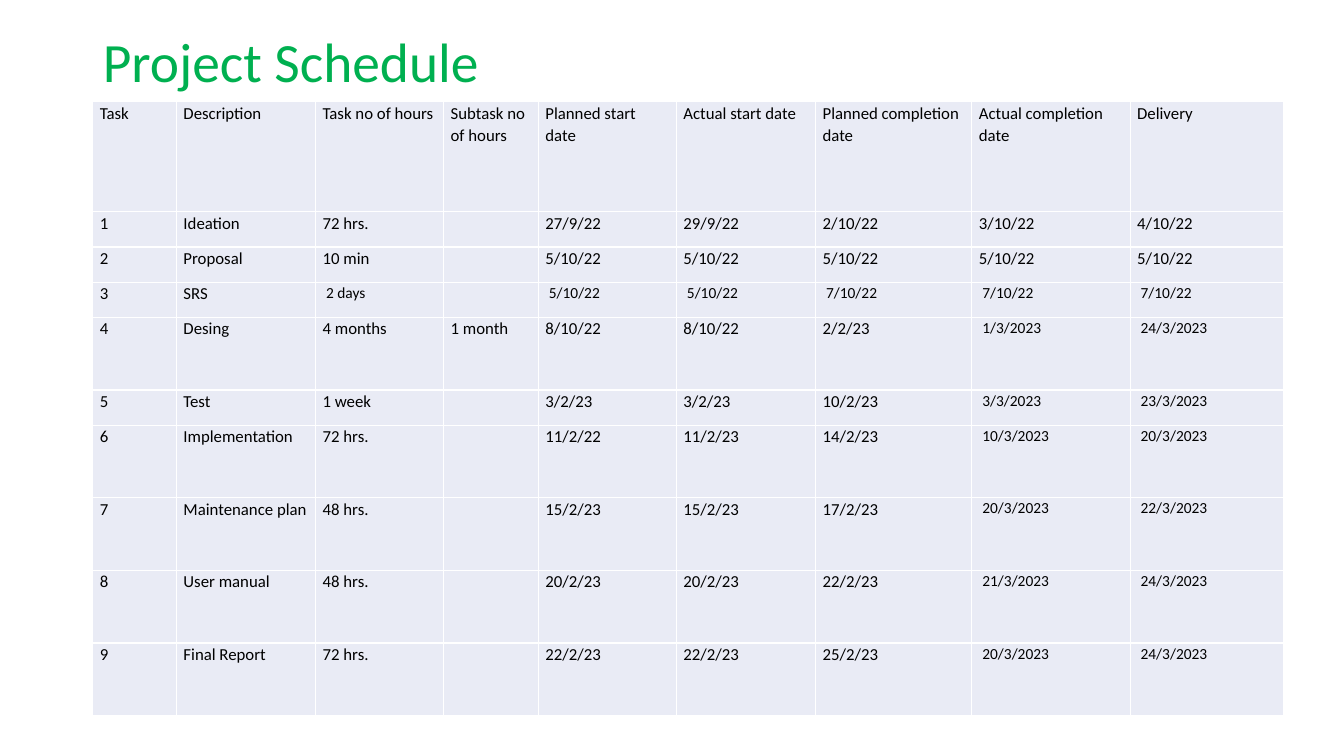
from pptx import Presentation
from pptx import util as u
from pptx.dml.color import RGBColor
from pptx.enum import text

GREEN = RGBColor(0x00, 0xB0, 0x50)
BLACK = RGBColor(0x00, 0x00, 0x00)
PALE_BLUE = RGBColor(0xE9, 0xEB, 0xF5)
FONT = "Calibri"
NBSP = " "

LEFT, TITLE_TOP, TABLE_TOP = 0.92, 0.4, 1.01
COLUMN_WIDTHS = [0.83, 1.38, 1.27, 0.94, 1.37, 1.38, 1.55, 1.57, 1.52]
ROW_LINES = [3, 1, 1, 1, 2, 1, 2, 2, 2, 2]
LINE_PITCH, ROW_TRIM = 0.37, 0.02

HEADINGS = ["Task", "Description", "Task no of hours", "Subtask no of hours",
            "Planned start date", "Actual start date", "Planned completion date",
            "Actual completion date", "Delivery"]
TASKS = [
    ["Ideation", "72 hrs.", "", "27/9/22", "29/9/22", "2/10/22", "3/10/22", "4/10/22"],
    ["Proposal", "10 min", "", "5/10/22", "5/10/22", "5/10/22", "5/10/22", "5/10/22"],
    ["SRS", " 2 days", "", " 5/10/22", " 5/10/22", " 7/10/22", " 7/10/22", " 7/10/22"],
    ["Desing", "4 months", "1 month", "8/10/22", "8/10/22", "2/2/23", " 1/3/2023", " 24/3/2023"],
    ["Test", "1 week", "", "3/2/23", "3/2/23", "10/2/23", " 3/3/2023", " 23/3/2023"],
    ["Implementation", "72 hrs.", "", "11/2/22", "11/2/23", "14/2/23", " 10/3/2023", " 20/3/2023"],
    ["Maintenance plan", "48 hrs.", "", "15/2/23", "15/2/23", "17/2/23", " 20/3/2023", " 22/3/2023"],
    ["User manual", "48 hrs.", "", "20/2/23", "20/2/23", "22/2/23", " 21/3/2023", " 24/3/2023"],
    ["Final Report", "72 hrs.", "", "22/2/23", "22/2/23", "25/2/23", " 20/3/2023", " 24/3/2023"],
]


def format_paragraph(paragraph, size, color, spacing):
    paragraph.font.name = FONT
    paragraph.font.size = u.Pt(size)
    paragraph.font.color.rgb = color
    paragraph.line_spacing = spacing


def set_title(slide, wording):
    title = slide.shapes.title
    title.left, title.top = u.Inches(LEFT), u.Inches(TITLE_TOP)
    title.width, title.height = u.Inches(11.5), u.Inches(0.48)
    frame = title.text_frame
    frame.text = wording
    frame.auto_size = text.MSO_AUTO_SIZE.NONE
    frame.vertical_anchor = text.MSO_ANCHOR.MIDDLE
    heading = frame.paragraphs[0]
    heading.alignment = text.PP_ALIGN.LEFT
    format_paragraph(heading, 39.6, GREEN, 0.9)


def fill_cell(cell, entry):
    """Write one entry; those indented by a hard space are set smaller."""
    cell.fill.solid()
    cell.fill.fore_color.rgb = PALE_BLUE
    cell.margin_left = cell.margin_right = u.Inches(0.07)
    cell.margin_top = cell.margin_bottom = 0
    indented = entry.startswith(" ")
    cell.text = entry.replace(" ", NBSP, 1) if indented else entry
    format_paragraph(cell.text_frame.paragraphs[0], 11 if indented else 12, BLACK, 1.07)


def add_schedule(slide, rows):
    heights = [lines * LINE_PITCH - ROW_TRIM for lines in ROW_LINES]
    schedule = slide.shapes.add_table(
        len(rows), len(COLUMN_WIDTHS), u.Inches(LEFT), u.Inches(TABLE_TOP),
        u.Inches(sum(COLUMN_WIDTHS)), u.Inches(sum(heights))).table
    schedule.first_row = schedule.horz_banding = False
    for column, width in zip(schedule.columns, COLUMN_WIDTHS):
        column.width = u.Inches(width)
    for row, height, entries in zip(schedule.rows, heights, rows):
        row.height = u.Inches(height)
        for cell, entry in zip(row.cells, entries):
            fill_cell(cell, entry)


def main():
    deck = Presentation()
    deck.slide_width, deck.slide_height = u.Inches(13.33), u.Inches(7.5)
    slide = deck.slides.add_slide(deck.slide_layouts[5])
    set_title(slide, "Project Schedule")
    numbered = [[str(number), *task] for number, task in enumerate(TASKS, 1)]
    add_schedule(slide, [HEADINGS, *numbered])
    deck.save("out.pptx")


if __name__ == "__main__":
    main()
